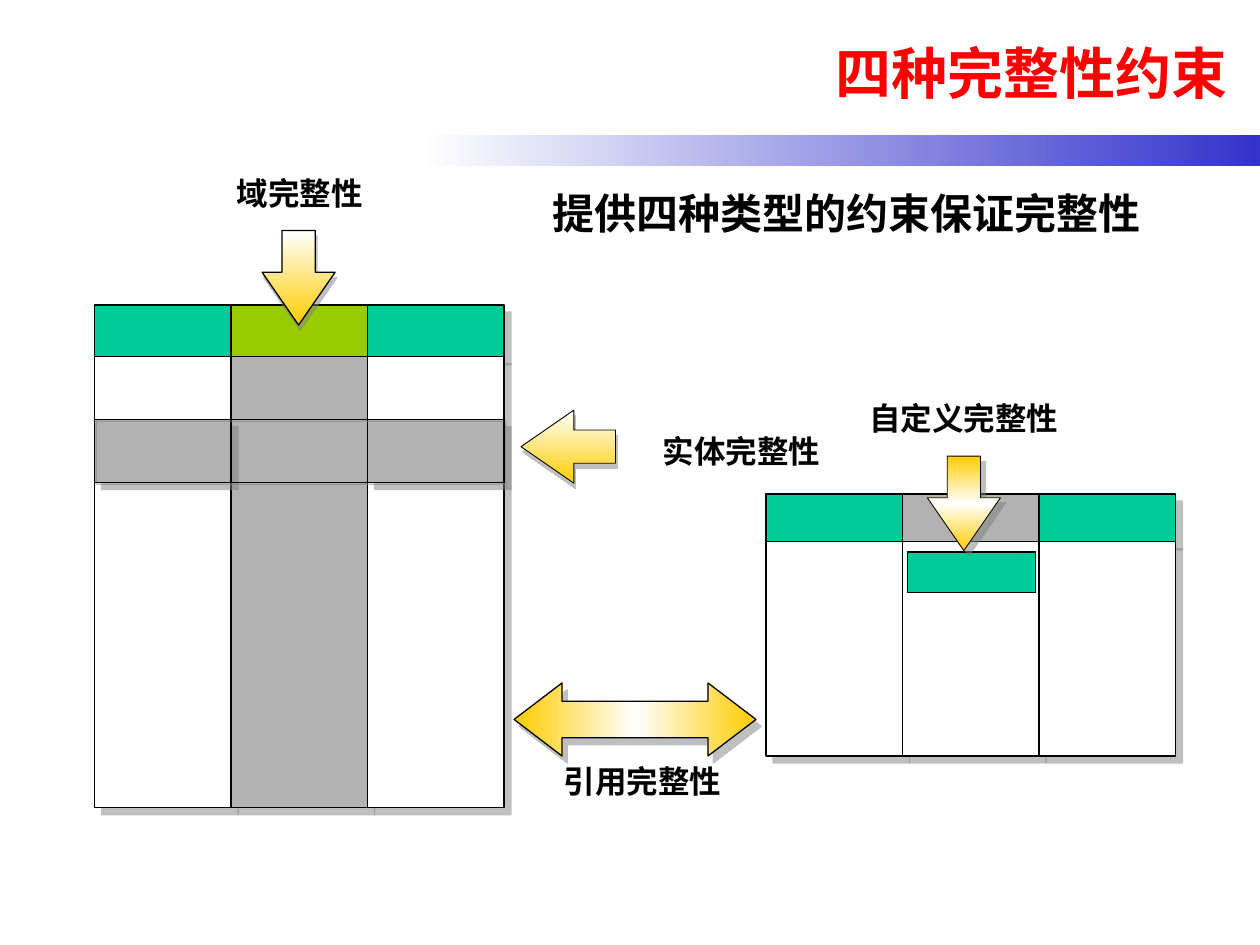
from lxml.etree import SubElement
from pptx import Presentation
from pptx.dml.color import RGBColor
from pptx.enum.shapes import MSO_SHAPE
from pptx.enum.text import MSO_ANCHOR, PP_ALIGN
from pptx.oxml.ns import qn
from pptx.util import Inches, Pt

COLORS = {"teal": "00CC99", "lime": "99CC00", "gray": "B2B2B2", "white": "FFFFFF",
          "gold": "FFCC00", "blue": "3333CC", "red": "FF0000", "black": "000000",
          "shadow": "808080"}

TABLE_WIDTH = 3.25
COLUMN_WIDTH = TABLE_WIDTH / 3
NEAR, FAR = (1.4, 45), (5.7, 45)
HEADER_SHADOWS = (NEAR, NEAR, FAR)

MAIN_TABLE = {"left": 0.75, "bands": [
    (2.42, 0.42, ("teal", "lime", "teal"), HEADER_SHADOWS),
    (2.83, 3.58, ("white", "gray", "white"), (FAR,) * 3),
    (3.33, 0.5, ("gray", None, "gray"), (FAR,) * 3)]}
SIDE_TABLE = {"left": 6.08, "bands": [
    (3.92, 0.39, ("teal", "gray", "teal"), HEADER_SHADOWS),
    (4.3, 1.7, ("white",) * 3, (FAR,) * 3)]}
ENTITY_ROW = (0.75, 3.33, TABLE_WIDTH, 0.5)
CHECKED_CELL = (7.2, 4.38, 1.02, 0.32)

FADE = ("white", "gold")
GLOW = ("gold", "white", "gold")
DOWN = (MSO_SHAPE.DOWN_ARROW, (0.455, 0.723))
BOTH = (MSO_SHAPE.LEFT_RIGHT_ARROW, (0.5, 0.657))

CONSTRAINTS = [
    {"label": "域完整性", "label_box": (0.67, 1.33, 3.42, 0.4), "arrow": DOWN,
     "arrow_box": (2.08, 1.83, 0.58, 0.75), "stops": FADE, "angle": 90,
     "line": 0.75, "shadow": (3.2, 72)},
    {"label": "实体完整性", "label_box": (4.8, 3.33, 2.17, 0.5), "arrow": DOWN,
     "arrow_box": (4.22, 3.17, 0.58, 0.75), "stops": FADE, "angle": 90,
     "line": 0.5, "shadow": (3.2, 72), "rotation": 90, "anchor": MSO_ANCHOR.MIDDLE},
    {"label": "引用完整性", "label_box": (3.67, 6, 2.86, 0.4), "arrow": BOTH,
     "arrow_box": (4.08, 5.42, 1.92, 0.58), "stops": GLOW, "angle": 180,
     "line": 0.75, "shadow": (5, 53)},
    {"label": "自定义完整性", "label_box": (5.94, 3.12, 3.42, 0.4), "arrow": DOWN,
     "arrow_box": (7.36, 3.62, 0.58, 0.75), "stops": GLOW, "angle": 90,
     "line": 0.5, "shadow": (4.2, 45), "cell": CHECKED_CELL},
]


def rgb(color):
    return RGBColor.from_string(COLORS[color])


def fill_gradient(shape, stops, angle):
    shape.fill.gradient()
    shape.fill.gradient_angle = (360 - angle) % 360
    gradient = shape.element.spPr.find(qn("a:gradFill"))
    gradient.set("rotWithShape", "0")
    stop_list = gradient.find(qn("a:gsLst"))
    for stop in list(stop_list):
        stop_list.remove(stop)
    for index, color in enumerate(stops):
        position = 100000 * index // (len(stops) - 1)
        stop = SubElement(stop_list, qn("a:gs"), pos=str(position))
        SubElement(stop, qn("a:srgbClr"), val=COLORS[color])


def cast_shadow(shape, distance, direction):
    effects = shape.element.spPr.find(qn("a:effectLst"))
    outer = SubElement(effects, qn("a:outerShdw"), blurRad="0", dist=str(Pt(distance)),
                       dir=str(direction * 60000), algn="ctr", rotWithShape="0")
    color = SubElement(outer, qn("a:srgbClr"), val=COLORS["shadow"])
    SubElement(color, qn("a:alpha"), val="50000")


def add_figure(shapes, kind, box, fill=None, line=0.75, shadow=None):
    shape = shapes.add_shape(kind, *map(Inches, box))
    shape.shadow.inherit = False
    if fill:
        shape.fill.solid()
        shape.fill.fore_color.rgb = rgb(fill)
    else:
        shape.fill.background()
    if line:
        shape.line.color.rgb = rgb("black")
        shape.line.width = Pt(line)
    else:
        shape.line.fill.background()
    if shadow:
        cast_shadow(shape, *shadow)
    return shape


def add_text(shapes, text, box, size=18, align=PP_ALIGN.CENTER, anchor=MSO_ANCHOR.TOP,
             font="Arial", color="black"):
    frame = shapes.add_textbox(*map(Inches, box)).text_frame
    frame.word_wrap = True
    frame.vertical_anchor = anchor
    paragraph = frame.paragraphs[0]
    paragraph.alignment = align
    run = paragraph.add_run()
    run.text = text
    run.font.size = Pt(size)
    run.font.bold = True
    run.font.name = font
    run.font.color.rgb = rgb(color)


def add_grid(slide, left, bands):
    shapes = slide.shapes.add_group_shape().shapes
    for top, height, fills, shadows in bands:
        for column, (fill, shadow) in enumerate(zip(fills, shadows)):
            if fill:
                box = (left + column * COLUMN_WIDTH, top, COLUMN_WIDTH, height)
                add_figure(shapes, MSO_SHAPE.RECTANGLE, box, fill, shadow=shadow)
    return shapes


def add_constraint(slide, item):
    shapes = slide.shapes.add_group_shape().shapes
    if "cell" in item:
        add_figure(shapes, MSO_SHAPE.RECTANGLE, item["cell"], "teal")
    add_text(shapes, item["label"], item["label_box"],
             anchor=item.get("anchor", MSO_ANCHOR.TOP))
    kind, adjustments = item["arrow"]
    arrow = add_figure(shapes, kind, item["arrow_box"], line=item["line"],
                       shadow=item["shadow"])
    for index, value in enumerate(adjustments):
        arrow.adjustments[index] = value
    arrow.rotation = item.get("rotation", 0)
    fill_gradient(arrow, item["stops"], item["angle"])


def main():
    deck = Presentation()
    deck.slide_width, deck.slide_height = Inches(10), Inches(7.5)
    slide = deck.slides.add_slide(deck.slide_layouts[6])

    banner = add_figure(slide.shapes, MSO_SHAPE.RECTANGLE, (3.33, 1.07, 6.67, 0.25), line=None)
    fill_gradient(banner, ("blue", "white"), 180)

    main_grid = add_grid(slide, **MAIN_TABLE)
    add_figure(main_grid, MSO_SHAPE.RECTANGLE, ENTITY_ROW, shadow=NEAR)
    add_grid(slide, **SIDE_TABLE)
    for item in CONSTRAINTS:
        add_constraint(slide, item)

    add_text(slide.shapes, "提供四种类型的约束保证完整性", (4.29, 1.44, 5.19, 0.5),
             size=24, align=PP_ALIGN.LEFT)
    add_text(slide.shapes, "四种完整性约束", (1.42, 0.07, 8.42, 1), size=32,
             align=PP_ALIGN.RIGHT, anchor=MSO_ANCHOR.MIDDLE,
             font="Times New Roman", color="red")
    deck.save("out.pptx")


if __name__ == "__main__":
    main()
